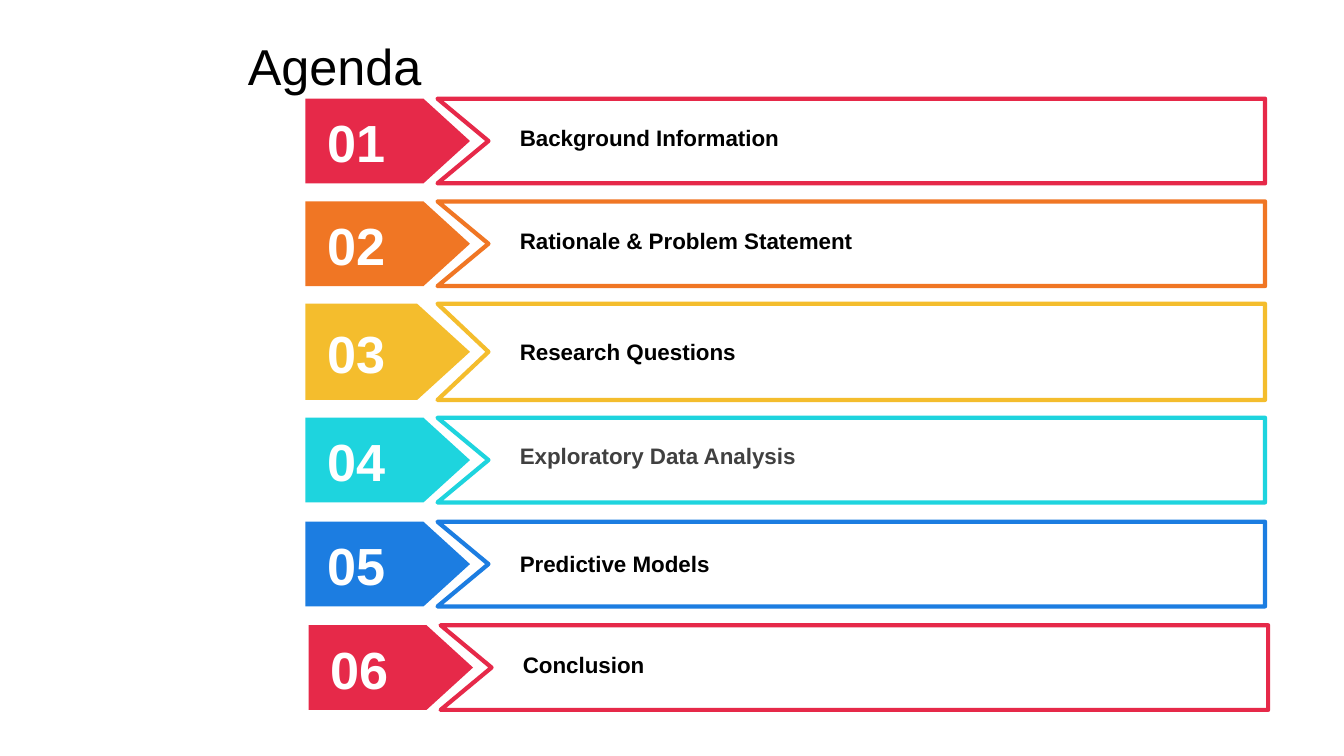
import pptx
import pptx.dml.color
import pptx.enum.shapes
import pptx.enum.text
import pptx.util

Pt = pptx.util.Pt
RGBColor = pptx.dml.color.RGBColor
Anchor = pptx.enum.text.MSO_ANCHOR

RED = RGBColor(0xE6, 0x29, 0x49)
ORANGE = RGBColor(0xF0, 0x76, 0x24)
YELLOW = RGBColor(0xF4, 0xBD, 0x2D)
CYAN = RGBColor(0x1E, 0xD4, 0xDE)
BLUE = RGBColor(0x1C, 0x7D, 0xE1)
WHITE = RGBColor(0xFF, 0xFF, 0xFF)
BLACK = RGBColor(0x00, 0x00, 0x00)
GRAY = RGBColor(0x40, 0x40, 0x40)

FONT = "Arial"
ROW_LEFT = 218.2
ROW_WIDTH = 685.4
ROW_HEIGHT = 60.5
TALL_HEIGHT = 68.7
LAST_SHIFT = 2.2

AGENDA = [
    ("Background Information", RED, BLACK, ROW_LEFT, 70.5, ROW_HEIGHT, 14.4),
    ("Rationale & Problem Statement", ORANGE, BLACK, ROW_LEFT, 143.9, ROW_HEIGHT, 15.1),
    ("Research Questions", YELLOW, BLACK, ROW_LEFT, 217, TALL_HEIGHT, 20.7),
    ("Exploratory Data Analysis", CYAN, GRAY, ROW_LEFT, 298.4, ROW_HEIGHT, 14.2),
    ("Predictive Models", BLUE, BLACK, ROW_LEFT, 372.7, ROW_HEIGHT, 16.8),
    ("Conclusion", RED, BLACK, ROW_LEFT + LAST_SHIFT, 446.6, ROW_HEIGHT, 14.9),
]


def add_text(slide, text, left, top, width, height, size, color, bold=True,
             anchor=Anchor.TOP, vertical_inset=3.6):
    text_box = slide.shapes.add_textbox(Pt(left), Pt(top), Pt(width), Pt(height))
    frame = text_box.text_frame
    frame.word_wrap = True
    frame.vertical_anchor = anchor
    frame.margin_top = frame.margin_bottom = Pt(vertical_inset)
    frame.text = text
    font = frame.paragraphs[0].runs[0].font
    font.name = FONT
    font.size = Pt(size)
    font.bold = bold
    font.color.rgb = color


def add_number_tag(slide, number, color, left, top, height):
    tag = slide.shapes.add_shape(
        pptx.enum.shapes.MSO_SHAPE.PENTAGON, Pt(left), Pt(top), Pt(117.5), Pt(height))
    tag.adjustments[0] = 0.549
    tag.shadow.inherit = False
    tag.fill.solid()
    tag.fill.fore_color.rgb = color
    tag.line.fill.background()


def add_notched_frame(slide, color, left, top, right, height):
    bottom = top + height
    corners = [(right, top), (right, bottom), (left, bottom), (left + 36.4, top + height / 2)]
    builder = slide.shapes.build_freeform(Pt(left), Pt(top))
    builder.add_line_segments([(Pt(x), Pt(y)) for x, y in corners], close=True)
    frame = builder.convert_to_shape()
    frame.shadow.inherit = False
    frame.fill.solid()
    frame.fill.fore_color.rgb = WHITE
    frame.line.color.rgb = color
    frame.line.width = Pt(3)


def add_agenda_row(slide, number, label, color, label_color, left, top, height, label_offset):
    add_number_tag(slide, number, color, left, top, height)
    add_notched_frame(slide, color, left + 94.3, top, left + ROW_WIDTH, height)
    number_height = 45.4
    number_top = top + (height - number_height) / 2 + 0.6
    add_text(slide, f"{number:02d}", left + 8.4, number_top, 63.4, number_height,
             37.3, WHITE, anchor=Anchor.MIDDLE, vertical_inset=0)
    add_text(slide, label, left + 146, top + label_offset, 509, 26.6, 16, label_color)


def add_title(slide, left, top, width, height):
    add_text(slide, "Agenda", left, top, width, height, 36, BLACK,
             bold=False, anchor=Anchor.MIDDLE)


def main():
    presentation = pptx.Presentation()
    presentation.slide_width = Pt(960)
    presentation.slide_height = Pt(540)
    slide = presentation.slides.add_slide(presentation.slide_layouts[6])
    add_title(slide, 169.9, 0, 790.1, 92.9)
    for number, row in enumerate(AGENDA, start=1):
        add_agenda_row(slide, number, *row)
    presentation.save("out.pptx")


if __name__ == "__main__":
    main()
